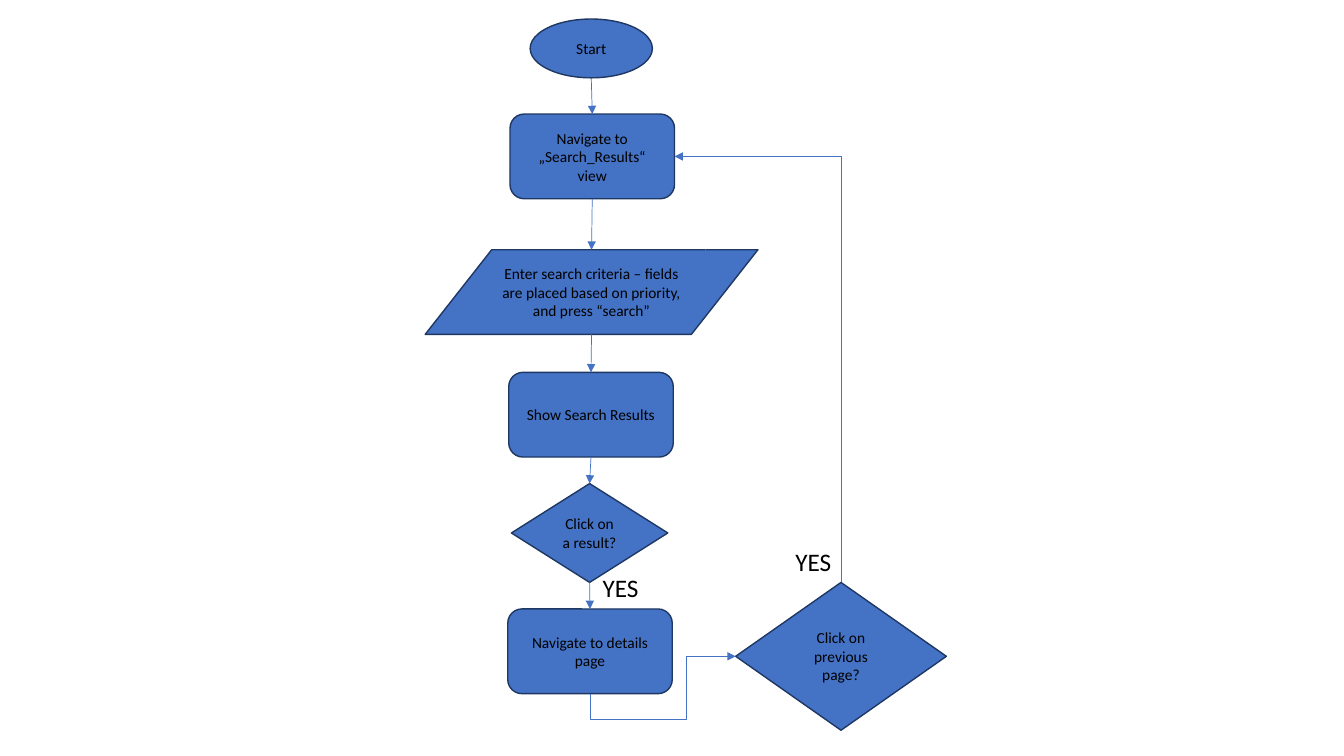
import dataclasses
import lxml.etree
import pptx
import pptx.util
import pptx.dml.color
import pptx.enum.shapes
import pptx.enum.text
import pptx.oxml.ns

Pt = pptx.util.Pt
RGB = pptx.dml.color.RGBColor
Kind = pptx.enum.shapes.MSO_SHAPE
Link = pptx.enum.shapes.MSO_CONNECTOR
Align = pptx.enum.text.PP_ALIGN
Spot = tuple[float, float]
qn = pptx.oxml.ns.qn


@dataclasses.dataclass(frozen=True)
class Theme:
    fill: RGB = RGB(0x44, 0x72, 0xC4)
    edge: RGB = RGB(0x1F, 0x37, 0x63)
    ink: RGB = RGB(0, 0, 0)
    font: str = "Calibri"
    small: float = 11
    large: float = 18
    border: float = 1
    wire: float = 0.5


@dataclasses.dataclass(frozen=True)
class Step:
    kind: Kind
    left: float
    top: float
    width: float
    height: float
    text: str

    def at(self, across: float, down: float) -> Spot:
        return self.left + across * self.width, self.top + down * self.height


@dataclasses.dataclass(frozen=True)
class Elbow:
    start: Spot
    end: Spot
    turn: int  # 1 is a quarter turn clockwise, -1 is one back
    preset: str
    bends: tuple[int, ...] = ()


theme = Theme()
deck = pptx.Presentation()
deck.slide_width, deck.slide_height = Pt(960), Pt(540)
slide = deck.slides.add_slide(deck.slide_layouts[6])


def write(frame, text: str, size: float, align: Align) -> None:
    frame.word_wrap = True
    para = frame.paragraphs[0]
    para.text, para.alignment = text, align
    para.font.name, para.font.size = theme.font, Pt(size)
    para.font.color.rgb = theme.ink


def draw_step(step: Step) -> None:
    box = (step.left, step.top, step.width, step.height)
    shape = slide.shapes.add_shape(step.kind, *map(Pt, box))
    shape.shadow.inherit = False
    shape.fill.solid()
    shape.fill.fore_color.rgb = theme.fill
    shape.line.color.rgb = theme.edge
    shape.line.width = Pt(theme.border)
    write(shape.text_frame, step.text, theme.small, Align.CENTER)


def draw_wire(start: Spot, end: Spot, kind: Link = Link.STRAIGHT):
    wire = slide.shapes.add_connector(kind, *map(Pt, (*start, *end)))
    wire.line.color.rgb = theme.fill
    wire.line.width = Pt(theme.wire)
    props = wire._element.spPr
    lxml.etree.SubElement(props.find(qn("a:ln")), qn("a:tailEnd"), type="triangle")
    lxml.etree.SubElement(props, qn("a:effectLst"))
    return wire


def draw_elbow(elbow: Elbow) -> None:
    # Turn both ends about their midpoint so the preset can be rotated
    (x1, y1), (x2, y2) = elbow.start, elbow.end
    mid_x, mid_y = (x1 + x2) / 2, (y1 + y2) / 2
    dx, dy = elbow.turn * (y1 - mid_y), -elbow.turn * (x1 - mid_x)
    wire = draw_wire((mid_x + dx, mid_y + dy), (mid_x - dx, mid_y - dy), Link.ELBOW)
    props = wire._element.spPr
    props.find(qn("a:xfrm")).set("rot", str(elbow.turn * 90 % 360 * 60000))
    form = props.find(qn("a:prstGeom"))
    form.set("prst", elbow.preset)
    guides = form.find(qn("a:avLst"))
    for i, bend in enumerate(elbow.bends, 1):
        lxml.etree.SubElement(guides, qn("a:gd"), name=f"adj{i}", fmla=f"val {bend}")


def draw_label(left: float, top: float, text: str) -> None:
    label = slide.shapes.add_textbox(*map(Pt, (left, top, 53.3, 29)))
    write(label.text_frame, text, theme.large, Align.LEFT)
    label.text_frame.auto_size = pptx.enum.text.MSO_AUTO_SIZE.SHAPE_TO_FIT_TEXT


# Steps of the main flow, top to bottom, then the way back
wide, high = 117.5, 60.5
flow = [
    Step(Kind.OVAL, 378.7, 13.6, 87.3, 42, "Start"),
    Step(Kind.ROUNDED_RECTANGLE, 364.3, 81.5, wide, high,
         "Navigate to „Search_Results“ view"),
    Step(Kind.FLOWCHART_DATA, 303.7, 178.4, 237.7, high,
         "Enter search criteria – fields are placed based on priority, "
         "and press “search”"),
    Step(Kind.ROUNDED_RECTANGLE, 363.4, 266, wide, high, "Show Search Results"),
    Step(Kind.DIAMOND, 365.3, 345.4, 111.7, 70.6, "Click on a result?"),
    Step(Kind.ROUNDED_RECTANGLE, 362.7, 435, wide, high, "Navigate to details page"),
]
back = Step(Kind.DIAMOND, 525.5, 416, 150.5, 105.6, "Click on previous page?")
for step in [*flow, back]:
    draw_step(step)

# Arrows down the flow, and the short one inside the input step
for upper, lower in zip(flow, flow[1:]):
    draw_wire(upper.at(0.5, 1), lower.at(0.5, 0))
draw_wire((504, 178), (507.6, 211.7))

# Elbows to the last choice and back to the search view
view, details = flow[1], flow[-1]
for elbow in (
    Elbow(details.at(0.5, 1), back.at(0, 0.5), 1, "bentConnector4", (-67800, 65800)),
    Elbow(back.at(0.5, 0), view.at(1, 0.5), -1, "bentConnector2"),
):
    draw_elbow(elbow)

# Answers beside the choices
for left, top in ((561, 386.6), (423.4, 405.4)):
    draw_label(left, top, "YES")

deck.save("out.pptx")
